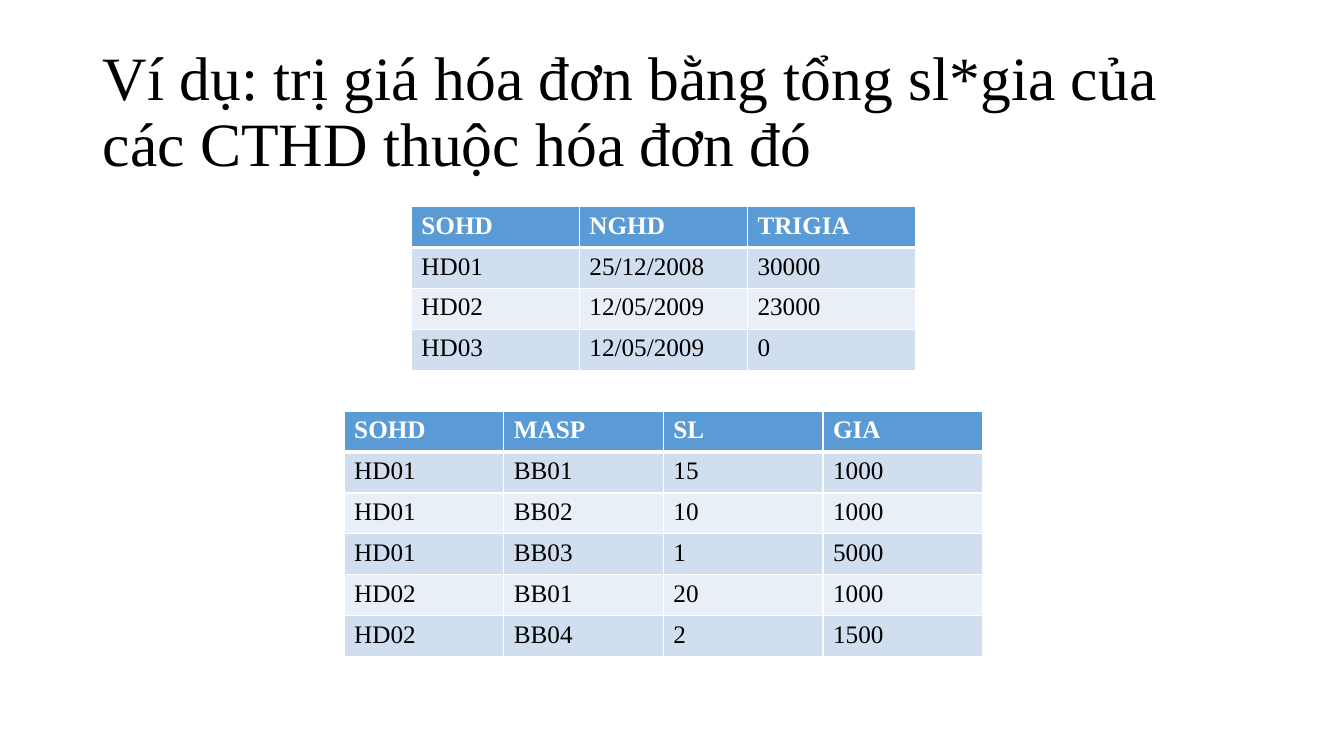
from lxml.etree import SubElement
from pptx import Presentation
from pptx.dml.color import RGBColor
from pptx.enum.text import MSO_ANCHOR as Anchor, MSO_AUTO_SIZE as AutoSize, PP_ALIGN as Align
from pptx.oxml.ns import qn
from pptx.util import Inches, Pt

TITLE = "Ví dụ: trị giá hóa đơn bằng tổng sl*gia của các CTHD thuộc hóa đơn đó"
INVOICES = [
    ("SOHD", "NGHD", "TRIGIA"),
    ("HD01", "25/12/2008", "30000"),
    ("HD02", "12/05/2009", "23000"),
    ("HD03", "12/05/2009", "0"),
]
INVOICE_LINES = [
    ("SOHD", "MASP", "SL", "GIA"),
    ("HD01", "BB01", "15", "1000"),
    ("HD01", "BB02", "10", "1000"),
    ("HD01", "BB03", "1", "5000"),
    ("HD02", "BB01", "20", "1000"),
    ("HD02", "BB04", "2", "1500"),
]
TABLES = [
    {"rows": INVOICES, "top": 2.05, "column": 5 / 3},
    {"rows": INVOICE_LINES, "top": 4.08, "column": 19 / 12},
]
COLORS = {"header": "5B9BD5", "odd": "D0DEEF", "even": "E9EFF7", "white": "FFFFFF", "black": "000000"}
FONT = "Times New Roman"
WIDTH, HEIGHT = 13.33, 7.5
TABLE_CENTER = 6.58
ROW_HEIGHT = 0.4056
TITLE_BOX = {"left": 0.92, "top": 0.4, "width": 11.5, "height": 1.45}
TITLE_FRAME = {"vertical_anchor": Anchor.MIDDLE, "word_wrap": True, "auto_size": AutoSize.NONE}
TITLE_PARAGRAPH = {"alignment": Align.LEFT, "line_spacing": 0.9}


def apply(target, values):
    for name, value in values.items():
        setattr(target, name, value)


def style_font(font, size, color, bold=False):
    apply(font, {"name": FONT, "size": Pt(size), "bold": bold})
    font.color.rgb = RGBColor.from_string(COLORS[color])


def add_borders(cell, bottom):
    properties = cell._tc.get_or_add_tcPr()
    for position, (side, width) in enumerate({"L": 1, "R": 1, "T": 1, "B": bottom}.items()):
        line = SubElement(properties, qn(f"a:ln{side}"), w=str(Pt(width)))
        fill = SubElement(line, qn("a:solidFill"))
        SubElement(fill, qn("a:srgbClr"), val=COLORS["white"])
        properties.insert(position, line)


def add_data_table(slide, rows, top, column):
    width = column * len(rows[0])
    lengths = (TABLE_CENTER - width / 2, top, width, ROW_HEIGHT * len(rows))
    table = slide.shapes.add_table(len(rows), len(rows[0]), *map(Inches, lengths)).table
    for row_index, row in enumerate(rows):
        header = row_index == 0
        fill = "header" if header else ("even", "odd")[row_index % 2]
        for column_index, text in enumerate(row):
            cell = table.cell(row_index, column_index)
            cell.text = text
            style_font(cell.text_frame.paragraphs[0].runs[0].font, 18, "white" if header else "black", header)
            cell.fill.solid()
            cell.fill.fore_color.rgb = RGBColor.from_string(COLORS[fill])
            add_borders(cell, 3 if row_index == 0 else 1)


def main():
    presentation = Presentation()
    apply(presentation, {"slide_width": Inches(WIDTH), "slide_height": Inches(HEIGHT)})
    slide = presentation.slides.add_slide(presentation.slide_layouts[5])
    title = slide.shapes.title
    apply(title, {name: Inches(length) for name, length in TITLE_BOX.items()})
    title.text_frame.text = TITLE
    apply(title.text_frame, TITLE_FRAME)
    paragraph = title.text_frame.paragraphs[0]
    apply(paragraph, TITLE_PARAGRAPH)
    style_font(paragraph.runs[0].font, 44, "black")
    for table in TABLES:
        add_data_table(slide, **table)
    presentation.save("out.pptx")


if __name__ == "__main__":
    main()
